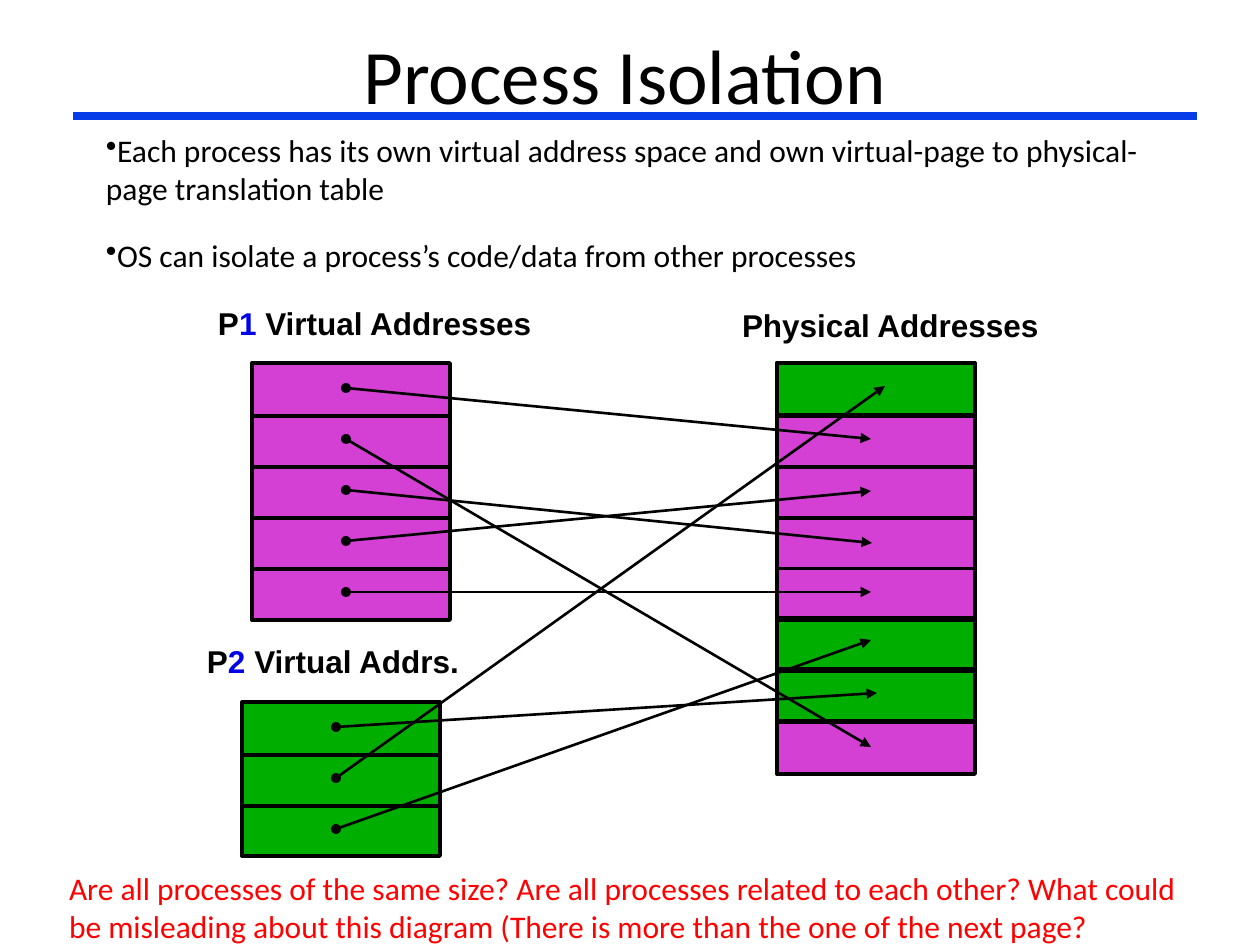
"""Build the Process Isolation slide, which maps two virtual address spaces onto physical memory."""
from dataclasses import dataclass
from typing import Any

from lxml.etree import SubElement
from pptx import Presentation
from pptx.dml.color import RGBColor
from pptx.enum.shapes import MSO_CONNECTOR, MSO_SHAPE
from pptx.enum.text import MSO_ANCHOR, MSO_AUTO_SIZE, PP_ALIGN
from pptx.oxml.ns import qn
from pptx.util import Emu, Pt

EMU_PER_PX = 914400 / 126


@dataclass(frozen=True)
class Theme:
    ink: str = "000000"
    first_process: str = "D440D4"
    second_process: str = "00AE00"
    number: str = "0003E7"
    rule: str = "063DE8"
    question: str = "FF0000"
    body_font: str = "Calibri"
    label_font: str = "Arial"
    title_size: float = 44
    text_size: float = 18
    border: float = 2.25
    arrow: float = 1.5
    title_rule: float = 4.5


THEME = Theme()


@dataclass(frozen=True)
class Box:
    left: int
    top: int
    width: int
    height: int


@dataclass(frozen=True)
class Run:
    text: str
    color: str = THEME.ink


@dataclass(frozen=True)
class AddressSpace:
    label: tuple[Run, ...]
    label_box: Box
    box: Box
    rows: int
    color: str
    dotted: bool = True
    green_rows: tuple[int, ...] = ()


@dataclass(frozen=True)
class Mapping:
    space: AddressSpace
    row: int
    tip_x: int
    tip_y: int


ROW, FIRST_ROW, CELL_HEIGHT = 51, 53, 52
DOT, DOT_X, DOT_Y = 10, 94, 25

P1 = AddressSpace(
    (Run("P"), Run("1 ", THEME.number), Run("Virtual Addresses")),
    Box(207, 301, 339, 48), Box(252, 363, 198, 257), 5, THEME.first_process)
P2 = AddressSpace(
    (Run("P"), Run("2 ", THEME.number), Run("Virtual Addrs.")),
    Box(196, 639, 278, 48), Box(242, 702, 198, 154), 3, THEME.second_process)
PHYSICAL = AddressSpace(
    (Run("Physical Addresses"),),
    Box(731, 303, 321, 48), Box(777, 363, 198, 411), 8, THEME.first_process,
    dotted=False, green_rows=(0, 5, 6))

MAPPINGS = (
    Mapping(P1, 0, 871, 439),
    Mapping(P1, 1, 871, 747),
    Mapping(P1, 2, 872, 543),
    Mapping(P1, 3, 871, 491),
    Mapping(P1, 4, 871, 592),
    Mapping(P2, 0, 877, 693),
    Mapping(P2, 1, 885, 386),
    Mapping(P2, 2, 871, 640),
)

TITLE_FRAME = {"vertical_anchor": MSO_ANCHOR.MIDDLE}
LABEL_FRAME = {"auto_size": MSO_AUTO_SIZE.SHAPE_TO_FIT_TEXT}
TITLE_FONT = {"name": THEME.body_font, "size": Pt(THEME.title_size)}
BODY_FONT = {"name": THEME.body_font, "size": Pt(THEME.text_size)}
LABEL_FONT = {"name": THEME.label_font, "size": Pt(THEME.text_size), "bold": True}


def px(length: float) -> Emu:
    return Emu(round(length * EMU_PER_PX))


def apply_format(target: Any, values: dict[str, Any]) -> None:
    for name, value in values.items():
        setattr(target, name, value)


def add_frame(slide: Any, box: Box, inset_y: int, frame_format: dict[str, Any]) -> Any:
    frame = slide.shapes.add_textbox(
        px(box.left), px(box.top), px(box.width), px(box.height)).text_frame
    insets = {"margin_left": px(11), "margin_right": px(11),
              "margin_top": px(inset_y), "margin_bottom": px(inset_y)}
    apply_format(frame, {"word_wrap": True, **insets, **frame_format})
    return frame


def write(paragraph: Any, runs: tuple[Run, ...], font: dict[str, Any],
          paragraph_format: dict[str, Any]) -> None:
    apply_format(paragraph, paragraph_format)
    for part in runs:
        run = paragraph.add_run()
        run.text = part.text
        apply_format(run.font, font)
        run.font.color.rgb = RGBColor.from_string(part.color)


def add_bullet(paragraph: Any) -> None:
    properties = paragraph._p.get_or_add_pPr()
    properties.set("marL", "0")
    properties.set("indent", "0")
    SubElement(properties, qn("a:buChar")).set("char", "•")


def add_block(slide: Any, preset: MSO_SHAPE, box: Box, color: str, border: float = 0) -> Any:
    block = slide.shapes.add_shape(
        preset, px(box.left), px(box.top), px(box.width), px(box.height))
    block.shadow.inherit = False
    block.fill.solid()
    block.fill.fore_color.rgb = RGBColor.from_string(color)
    if border:
        block.line.color.rgb = RGBColor.from_string(THEME.ink)
        block.line.width = Pt(border)
    else:
        block.line.fill.background()
    return block


def add_line(slide: Any, start: tuple[int, int], end: tuple[int, int], width: float,
             color: str = THEME.ink, arrow: bool = False) -> Any:
    line = slide.shapes.add_connector(
        MSO_CONNECTOR.STRAIGHT, *(px(value) for value in start + end))
    line.line.color.rgb = RGBColor.from_string(color)
    line.line.width = Pt(width)
    if arrow:
        SubElement(line.line._get_or_add_ln(), qn("a:tailEnd")).set("type", "triangle")
    SubElement(line._element.spPr, qn("a:effectLst"))
    return line


def dot_center(space: AddressSpace, row: int) -> tuple[int, int]:
    return space.box.left + DOT_X, space.box.top + DOT_Y + ROW * row


def draw_space(slide: Any, space: AddressSpace) -> None:
    label = add_frame(slide, space.label_box, 6, LABEL_FRAME)
    write(label.paragraphs[0], space.label, LABEL_FONT, {"line_spacing": 0.93})
    box = space.box
    memory = add_block(slide, MSO_SHAPE.RECTANGLE, box, space.color, THEME.border)
    for row in space.green_rows:
        cell = Box(box.left, box.top + ROW * row, box.width, CELL_HEIGHT)
        add_block(slide, MSO_SHAPE.RECTANGLE, cell, THEME.second_process, THEME.border)
    for row in range(1, space.rows):
        y = box.top + FIRST_ROW + ROW * (row - 1)
        divider = add_line(slide, (box.left, y), (box.left + box.width, y), THEME.border)
        if row * 2 == space.rows:
            divider.begin_connect(memory, 1)
            divider.end_connect(memory, 3)
    for row in range(space.rows if space.dotted else 0):
        x, y = dot_center(space, row)
        dot = Box(x - DOT // 2, y - DOT // 2, DOT, DOT)
        add_block(slide, MSO_SHAPE.OVAL, dot, THEME.ink)


def main() -> None:
    deck = Presentation()
    apply_format(deck, {"slide_width": px(1260), "slide_height": px(945)})
    slide = deck.slides.add_slide(deck.slide_layouts[6])

    title = add_frame(slide, Box(105, 21, 1040, 105), 5, TITLE_FRAME)
    write(title.paragraphs[0], (Run("Process Isolation"),), TITLE_FONT,
          {"alignment": PP_ALIGN.CENTER})
    add_line(slide, (73, 116), (1197, 116), THEME.title_rule, THEME.rule)

    points = add_frame(slide, Box(95, 126, 1071, 252), 5, {})
    isolation = points.paragraphs[0]
    for paragraph, text, space_before in (
        (isolation, "Each process has its own virtual address space and own "
                    "virtual-page to physical-page translation table", 6.8),
        (points.add_paragraph(),
         "OS can isolate a process’s code/data from other processes", 17),
    ):
        write(paragraph, (Run(text),), BODY_FONT, {"space_before": Pt(space_before)})
        add_bullet(paragraph)

    for space in (P1, PHYSICAL, P2):
        draw_space(slide, space)
    for mapping in MAPPINGS:
        add_line(slide, dot_center(mapping.space, mapping.row),
                 (mapping.tip_x, mapping.tip_y), THEME.arrow, arrow=True)

    question = add_frame(slide, Box(58, 863, 1153, 88), 6, LABEL_FRAME)
    write(question.paragraphs[0], (Run(
        "Are all processes of the same size? Are all processes related to each other? "
        "What could be misleading about this diagram (There is more than the one of "
        "the next page?", THEME.question),), BODY_FONT, {})
    deck.save("out.pptx")


if __name__ == "__main__":
    main()
